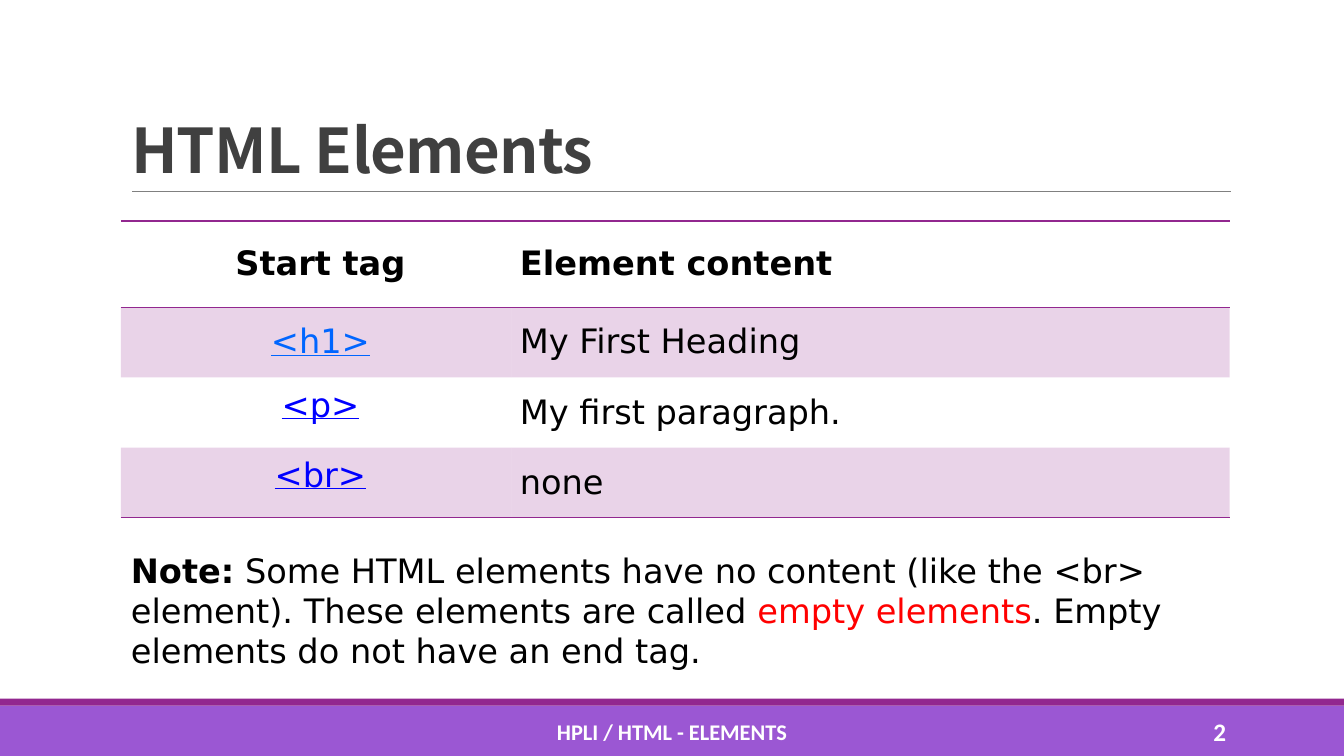
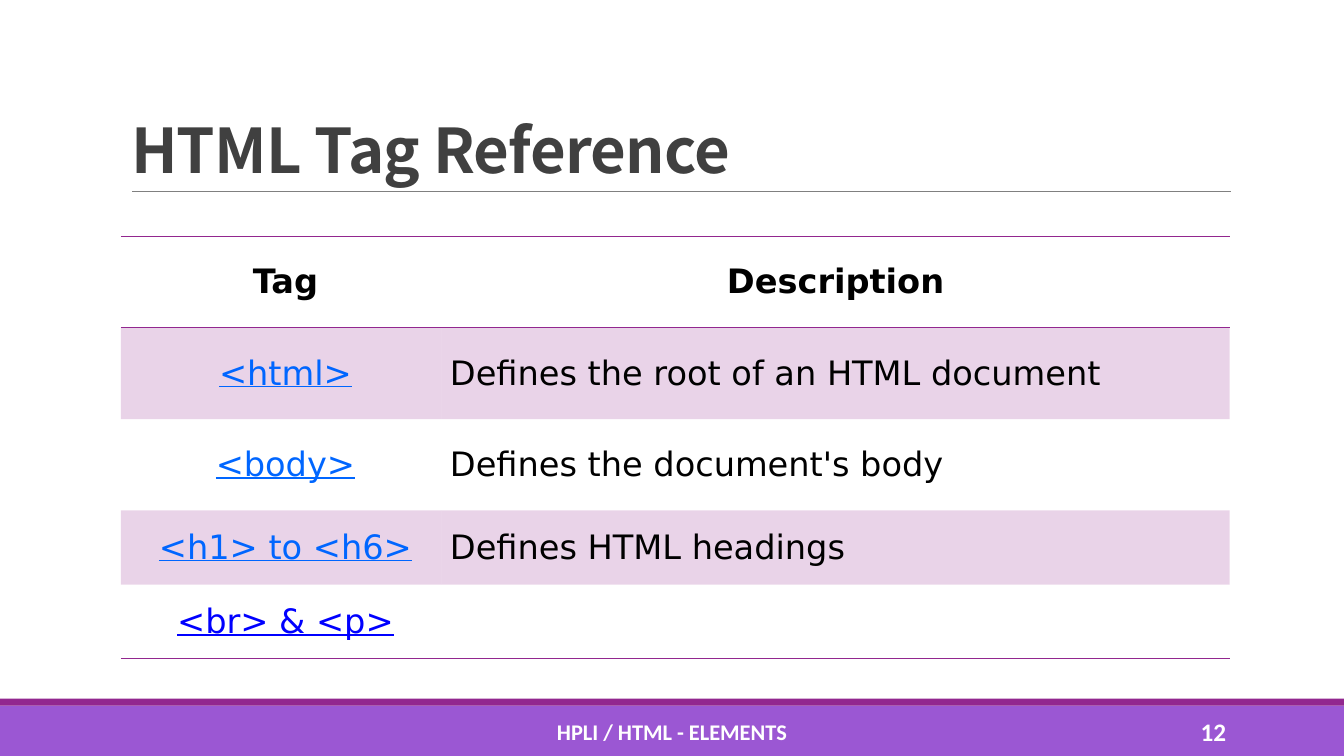
from pptx import Presentation
from pptx.dml.color import RGBColor
from pptx.enum.shapes import MSO_CONNECTOR, MSO_SHAPE
from pptx.enum.text import MSO_ANCHOR, MSO_AUTO_SIZE, PP_ALIGN
from pptx.oxml.ns import qn
from pptx.util import Pt
from lxml import etree

LEFT, CENTER, RIGHT = PP_ALIGN.LEFT, PP_ALIGN.CENTER, PP_ALIGN.RIGHT
TOP, MIDDLE, BOTTOM = MSO_ANCHOR.TOP, MSO_ANCHOR.MIDDLE, MSO_ANCHOR.BOTTOM
FIT_SHAPE, NO_FIT = MSO_AUTO_SIZE.SHAPE_TO_FIT_TEXT, MSO_AUTO_SIZE.NONE
RECT, STRAIGHT = MSO_SHAPE.RECTANGLE, MSO_CONNECTOR.STRAIGHT

COLORS = {
    "band": "9B57D3", "accent": "92278F", "rule": "808080", "title": "404040",
    "text": "000000", "white": "FFFFFF", "red": "FF0000",
    "link": "0066FF", "new_link": "0000FF",
}
TITLE_FONT, BODY_FONT, FOOTER_FONT = "Noto Sans CJK SC", "DejaVu Sans", "Calibri"
NO_STYLE = "{2D5ABB26-0587-4C30-8999-92F81FD0307C}"
WIDTH, HEIGHT = 960, 540
MARGIN, CONTENT_W = 86.4, 792
FOOTER = "HPLI / HTML - ELEMENTS"


def rgb(name):
    return RGBColor.from_string(COLORS[name])


def add_run(p, text, size=24, font=BODY_FONT, color="text", bold=False, underline=False):
    r = p.add_run()
    r.text = text
    f = r.font
    f.size, f.name, f.bold = Pt(size), font, bold
    f.underline = underline
    f.color.rgb = rgb(color)
    return r


def add_text(s, box, runs, align=LEFT, anchor=TOP, fit=NO_FIT):
    tf = s.shapes.add_textbox(*map(Pt, box)).text_frame
    tf.word_wrap, tf.auto_size, tf.vertical_anchor = True, fit, anchor
    p = tf.paragraphs[0]
    p.alignment = align
    for text, style in runs:
        add_run(p, text, **style)


def add_band(s, box, color):
    sp = s.shapes.add_shape(RECT, *map(Pt, box))
    sp.shadow.inherit = False
    sp.fill.solid()
    sp.fill.fore_color.rgb = rgb(color)
    sp.line.fill.background()


def add_title(s, box, text):
    x, y, w, h = box
    # Rule under the title, in line with its text
    line = s.shapes.add_connector(STRAIGHT, Pt(x + 8), Pt(y + h), Pt(x + w + 1), Pt(y + h))
    line.line.color.rgb = rgb("rule")
    line.line.width = Pt(0.5)
    etree.SubElement(line._element.spPr, qn("a:effectLst"))

    title = s.shapes.title
    title.left, title.top, title.width, title.height = map(Pt, box)
    tf = title.text_frame
    tf.word_wrap, tf.auto_size, tf.vertical_anchor = True, NO_FIT, BOTTOM
    p = tf.paragraphs[0]
    p.alignment, p.line_spacing = LEFT, 0.85
    r = add_run(p, text, 44, TITLE_FONT, "title", bold=True)
    r.font._element.set("spc", "-50")


def add_footer(s, box, number):
    x, y, w, h = box
    add_band(s, (x, y + 5, w, h - 5), "band")
    add_band(s, (x, y, w, 5), "accent")
    style = {"font": FOOTER_FONT, "color": "white", "bold": True}
    add_text(s, (x + 290, y + 9.2, 380, 28.8), [(FOOTER, {"size": 16, **style})], CENTER, MIDDLE)
    add_text(s, (x + 780, y + 9.2, 103, 28.8), [(str(number), {"size": 18, **style})], RIGHT, MIDDLE)


def add_border(cell, side):
    ln = etree.SubElement(cell._tc.get_or_add_tcPr(), qn("a:ln" + side), w=str(Pt(1)))
    fill = etree.SubElement(ln, qn("a:solidFill"))
    etree.SubElement(fill, qn("a:srgbClr"), val=COLORS["accent"])


def fill_cell(cell, shaded):
    if not shaded:
        cell.fill.background()
        return
    cell.fill.solid()
    cell.fill.fore_color.rgb = rgb("accent")
    tint = cell._tc.tcPr.find(".//" + qn("a:solidFill") + "/" + qn("a:srgbClr"))
    # Borders come first in the cell, so take the fill that is its direct child
    tint = cell._tc.tcPr.find(qn("a:solidFill")).find(qn("a:srgbClr"))
    etree.SubElement(tint, qn("a:alpha"), val="20000")


def add_tag_table(s, box, first_col, heights, header, header_align, rows):
    """Each row is (tag, link colour, tag anchor, description)."""
    x, y, w = box
    frame = s.shapes.add_table(len(heights), 2, Pt(x), Pt(y), Pt(w), Pt(sum(heights)))
    table = frame.table
    table._tbl.tblPr.find(qn("a:tableStyleId")).text = NO_STYLE
    table.first_row = table.horz_banding = False
    for col, width in zip(table.columns, (first_col, w - first_col)):
        col.width = Pt(width)
    for row, height in zip(table.rows, heights):
        row.height = Pt(height)

    def set_cell(i, j, text, align, anchor=MIDDLE, **style):
        cell = table.cell(i, j)
        cell.margin_left = Pt(12 if j == 0 else 6)
        cell.margin_right = cell.margin_top = cell.margin_bottom = Pt(6)
        cell.vertical_anchor = anchor
        if i == 0:
            add_border(cell, "T")
        if i in (0, len(rows)):
            add_border(cell, "B")
        fill_cell(cell, i % 2 == 1)
        if text:
            p = cell.text_frame.paragraphs[0]
            p.alignment = align
            p.space_before = p.space_after = Pt(15)
            add_run(p, text, **style)

    for j, (text, align) in enumerate(zip(header, (CENTER, header_align))):
        set_cell(0, j, text, align, bold=True)
    for i, (tag, color, anchor, description) in enumerate(rows, 1):
        set_cell(i, 0, tag, CENTER, anchor, color=color, underline=True)
        set_cell(i, 1, description, LEFT)


def add_base_slide(prs, title, number):
    s = prs.slides.add_slide(prs.slide_layouts[5])
    add_footer(s, (0, 499, WIDTH, HEIGHT - 499), number)
    add_title(s, (MARGIN, 22.4, CONTENT_W, 114.4), title)
    return s


def elements_slide(prs):
    s = add_base_slide(prs, "HTML Elements", 2)
    add_tag_table(s, (MARGIN, 157.8, CONTENT_W), 279, [61.6] + [50.2] * 3,
                  ("Start tag", "Element content"), LEFT, [
                      ("<h1>", "link", MIDDLE, "My First Heading"),
                      ("<p>", "new_link", TOP, "My first paragraph."),
                      ("<br>", "new_link", TOP, "none"),
                  ])
    # Note below the table
    add_text(s, (MARGIN, 389, 796, 94.5), [
        ("Note:", {"bold": True}),
        (" Some HTML elements have no content (like the <br> element). "
         "These elements are called ", {}),
        ("empty elements", {"color": "red"}),
        (". Empty elements do not have an end tag.", {}),
    ], fit=FIT_SHAPE)


def reference_slide(prs):
    s = add_base_slide(prs, "HTML Tag Reference", 12)
    add_tag_table(s, (MARGIN, 169, CONTENT_W), 229, [65.2] * 3 + [53] * 2,
                  ("Tag", "Description"), CENTER, [
                      ("<html>", "link", MIDDLE, "Defines the root of an HTML document"),
                      ("<body>", "link", MIDDLE, "Defines the document's body"),
                      ("<h1> to <h6>", "link", MIDDLE, "Defines HTML headings"),
                      ("<br> & <p>", "new_link", MIDDLE, ""),
                  ])


def main():
    prs = Presentation()
    prs.slide_width, prs.slide_height = Pt(WIDTH), Pt(HEIGHT)
    elements_slide(prs)
    reference_slide(prs)
    prs.save("out.pptx")


if __name__ == "__main__":
    main()
